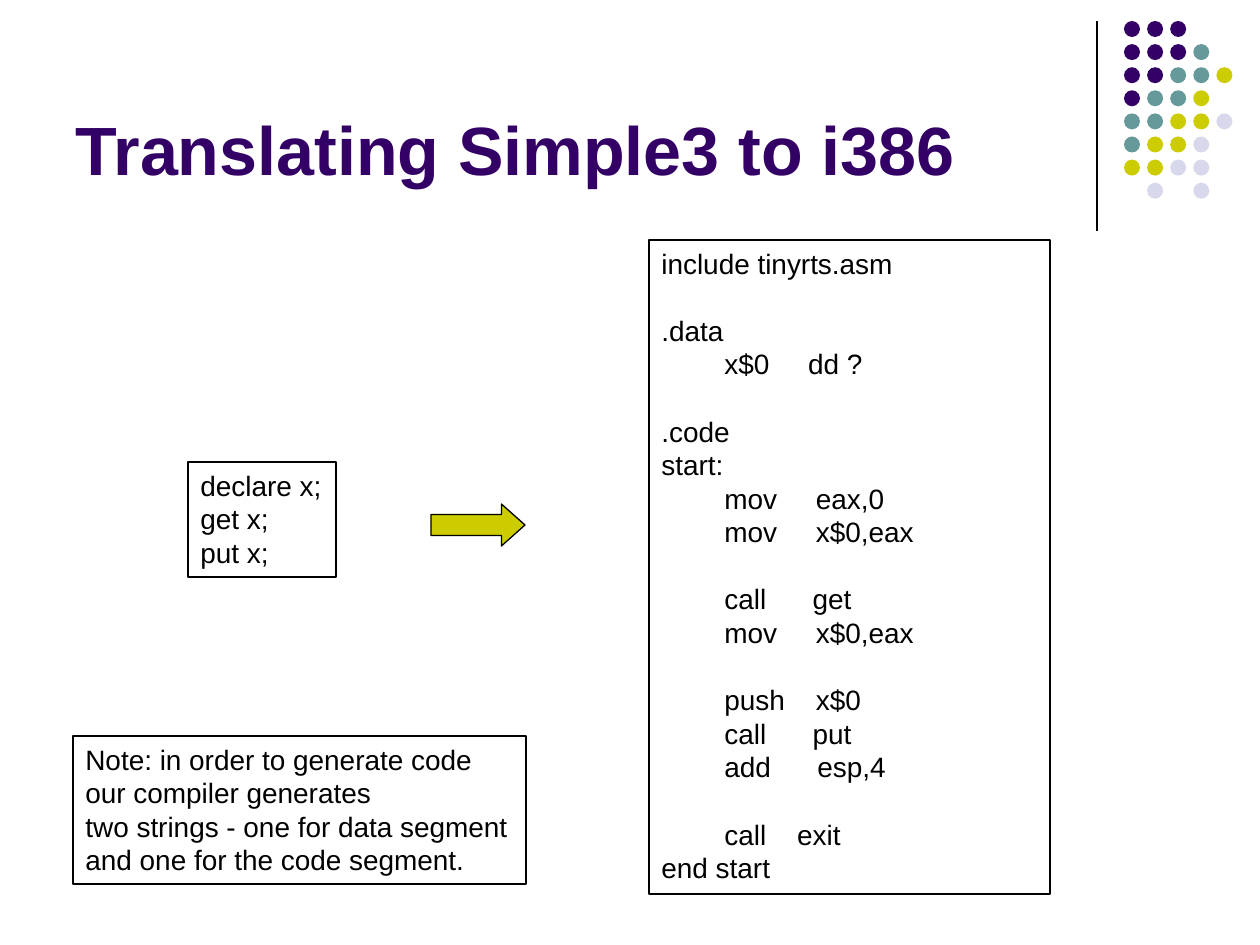
"""Build the slide showing how a Simple3 program is translated to i386 assembly."""
from lxml import etree
from pptx import Presentation
from pptx.dml.color import RGBColor
from pptx.enum.shapes import MSO_CONNECTOR, MSO_SHAPE
from pptx.enum.text import MSO_ANCHOR, PP_ALIGN
from pptx.oxml.ns import qn
from pptx.util import Pt

PX = 914400 // 126
RECT, OVAL, ARROW = MSO_SHAPE.RECTANGLE, MSO_SHAPE.OVAL, MSO_SHAPE.RIGHT_ARROW
STRAIGHT = MSO_CONNECTOR.STRAIGHT
LEFT, TOP, BOTTOM = PP_ALIGN.LEFT, MSO_ANCHOR.TOP, MSO_ANCHOR.BOTTOM
BLACK = RGBColor(0x00, 0x00, 0x00)
PURPLE = RGBColor(0x33, 0x00, 0x66)
TEAL = RGBColor(0x66, 0x99, 0x99)
OLIVE = RGBColor(0xCC, 0xCC, 0x00)
LILAC = RGBColor(0xD8, 0xD8, 0xEC)
FONT = "Arial"

TITLE = "Translating Simple3 to i386"
SOURCE = "declare x;\nget x;\nput x;"
ASSEMBLY = """include tinyrts.asm

.data
     \tx$0     dd ?

.code
start:
      \tmov     eax,0
\tmov     x$0,eax

\tcall      get
\tmov     x$0,eax

\tpush    x$0
\tcall      put
\tadd      esp,4

\tcall    exit
end start"""
NOTE = ("Note: in order to generate code \vour compiler generates\v"
        "two strings - one for data segment\vand one for the code segment.")
BOXES = [
    (SOURCE, (188, 462, 148, 115), False),
    (ASSEMBLY, (649, 240, 401, 654), True),
    (NOTE, (73, 736, 453, 148), False),
]
DOTS = ["PPP", "PPPT", "PPTTO", "PTTO", "TTOOL", "TOOL", "OOLL", " L L"]
DOT_COLORS = {"P": PURPLE, "T": TEAL, "O": OLIVE, "L": LILAC}
DOT_LEFT, DOT_TOP, DOT_SIZE, DOT_PITCH = 1124, 21, 16, 23.1


def px(*values):
    return [round(v * PX) for v in values]


def style_text(tf, size, color, bold=False):
    for p in tf.paragraphs:
        p.alignment = LEFT
        p.font.size = Pt(size)
        for r in p.runs:
            r.font.name, r.font.size, r.font.bold = FONT, Pt(size), bold
            r.font.color.rgb = color


def add_shape(s, kind, box, fill=None, line=None):
    sp = s.shapes.add_shape(kind, *px(*box))
    sp.shadow.inherit = False
    if fill is None:
        sp.fill.background()
    else:
        sp.fill.solid()
        sp.fill.fore_color.rgb = fill
    if line is None:
        sp.line.fill.background()
    else:
        sp.line.color.rgb = line
        sp.line.width = Pt(0.75)
    return sp


def add_dots(s):
    for row, letters in enumerate(DOTS):
        for col, letter in enumerate(letters):
            if letter in DOT_COLORS:
                box = (DOT_LEFT + col * DOT_PITCH, DOT_TOP + row * DOT_PITCH,
                       DOT_SIZE, DOT_SIZE)
                add_shape(s, OVAL, box, DOT_COLORS[letter])


def add_rule(s):
    rule = s.shapes.add_connector(STRAIGHT, *px(1097, 21, 1097, 231))
    rule.line.color.rgb = BLACK
    rule.line.width = Pt(0.75)
    etree.SubElement(rule._element.spPr, qn("a:effectLst"))


def add_title(s):
    title = s.shapes.title
    title.left, title.top, title.width, title.height = px(63, 16, 1040, 179)
    tf = title.text_frame
    tf.text = TITLE
    tf.vertical_anchor = BOTTOM
    style_text(tf, 39, PURPLE, True)


def add_text_box(s, text, box, wrap):
    tf = add_shape(s, RECT, box, line=BLACK).text_frame
    tf.text = text
    tf.word_wrap = wrap
    tf.vertical_anchor = TOP
    style_text(tf, 16, BLACK)


def main():
    prs = Presentation()
    prs.slide_width, prs.slide_height = px(1260, 945)
    s = prs.slides.add_slide(prs.slide_layouts[5])
    add_rule(s)
    add_dots(s)
    add_title(s)
    for text, box, wrap in BOXES:
        add_text_box(s, text, box, wrap)
    arrow = add_shape(s, ARROW, (431, 504, 94, 42), OLIVE, BLACK)
    arrow.adjustments[1] = 0.56
    prs.save("out.pptx")


if __name__ == "__main__":
    main()
